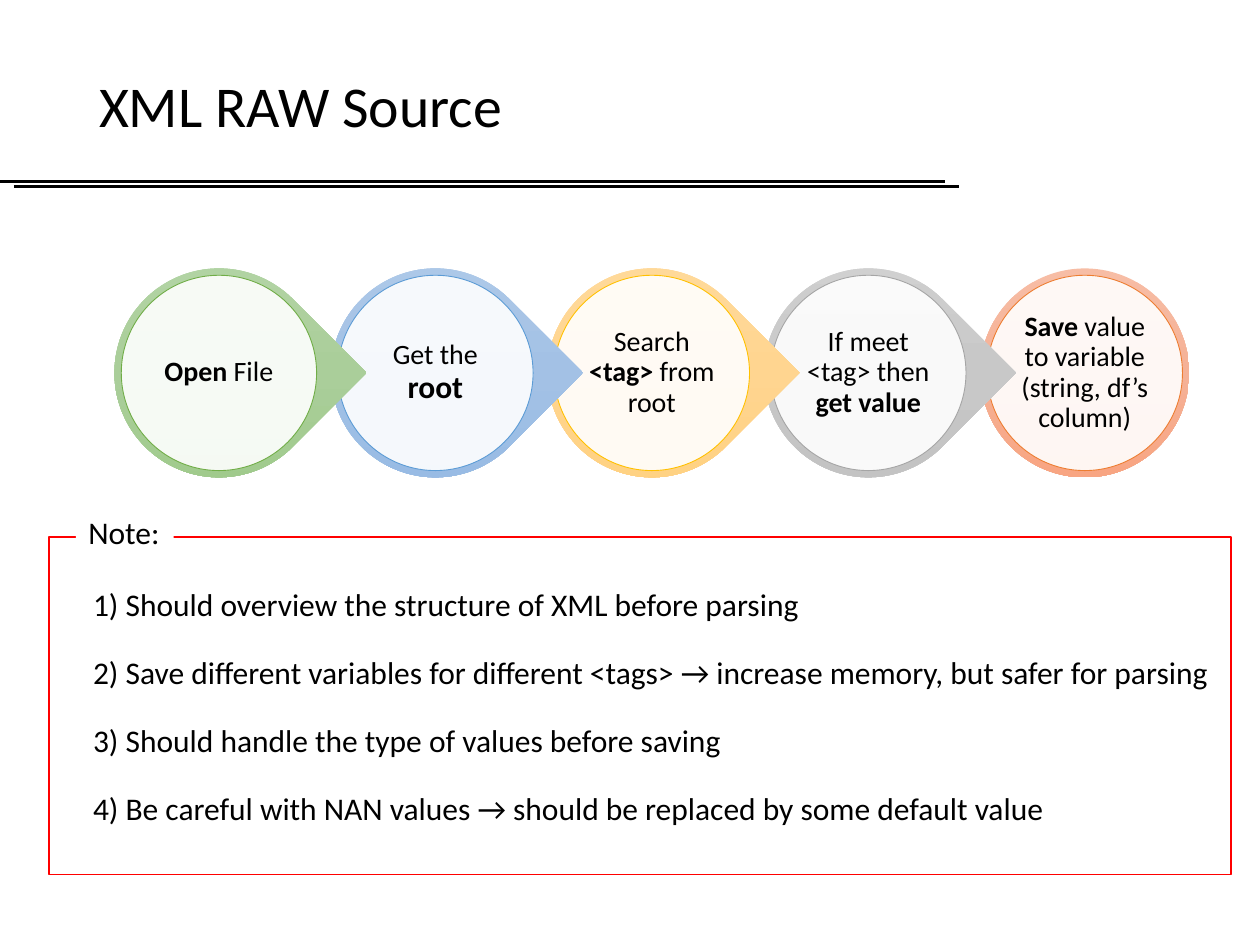
from dataclasses import dataclass

from lxml.etree import SubElement
from pptx import Presentation
from pptx.dml.color import RGBColor
from pptx.enum.shapes import MSO_CONNECTOR, MSO_SHAPE
from pptx.enum.text import MSO_ANCHOR, PP_ALIGN
from pptx.oxml import parse_xml
from pptx.oxml.ns import nsdecls, qn
from pptx.util import Pt


@dataclass(frozen=True)
class Theme:
    font: str = "Calibri"
    black: str = "000000"
    white: str = "FFFFFF"
    red: str = "FF0000"
    title: float = 33
    body: float = 18
    step: float = 16
    # Per step: outline, then gradient from top to bottom
    steps: tuple = (
        ("70AD47", ("B5D5A7", "AACE9A", "9CC987")),
        ("5B9BD5", ("B1CBE9", "A3C1E5", "93B9E4")),
        ("FFC000", ("FFDB9E", "FFD590", "FFD07C")),
        ("A5A5A5", ("D2D2D2", "C8C8C8", "C0C0C0")),
        ("ED7D31", ("F7BDA5", "F5B196", "F8A582")),
    )


class Deck:
    def __init__(self, s, theme):
        self.s, self.theme = s, theme

    def line(self, x1, y, x2, width):
        c = self.s.shapes.add_connector(
            MSO_CONNECTOR.STRAIGHT, Pt(x1), Pt(y), Pt(x2), Pt(y))
        c.line.color.rgb = RGBColor.from_string(self.theme.black)
        c.line.width = Pt(width)
        SubElement(c._element.spPr, qn("a:effectLst"))

    def shape(self, kind, x, y, w, h, fill=None, line=None, width=1, alpha=None):
        sp = self.s.shapes.add_shape(kind, Pt(x), Pt(y), Pt(w), Pt(h))
        sp.shadow.inherit = False
        if fill:
            sp.fill.solid()
            sp.fill.fore_color.rgb = RGBColor.from_string(fill)
        else:
            sp.fill.background()
        if alpha:
            color = sp._element.spPr.find(qn("a:solidFill"))[0]
            SubElement(color, qn("a:alpha"), val=str(alpha * 1000))
        if line:
            sp.line.color.rgb = RGBColor.from_string(line)
            sp.line.width = Pt(width)
        else:
            sp.line.fill.background()
        return sp

    def gradient(self, sp, colors):
        stops = "".join(
            f'<a:gs pos="{i * 50000}"><a:srgbClr val="{c}"/></a:gs>'
            for i, c in enumerate(colors))
        old = sp._element.spPr.find(qn("a:noFill"))
        old.getparent().replace(old, parse_xml(
            f'<a:gradFill {nsdecls("a")} rotWithShape="0"><a:gsLst>{stops}</a:gsLst>'
            '<a:lin ang="5400000" scaled="0"/></a:gradFill>'))

    def text(self, x, y, w, h, runs, size, align=PP_ALIGN.LEFT,
             anchor=MSO_ANCHOR.TOP, spacing=1.0, inset=None, fill=None):
        """Each run is (text, bold) or (text, bold, size)."""
        sp = self.s.shapes.add_textbox(Pt(x), Pt(y), Pt(w), Pt(h))
        if fill:
            sp.fill.solid()
            sp.fill.fore_color.rgb = RGBColor.from_string(fill)
        tf = sp.text_frame
        tf.word_wrap = True
        tf.vertical_anchor = anchor
        if inset is not None:
            tf.margin_left = tf.margin_right = Pt(inset)
            tf.margin_top = tf.margin_bottom = Pt(inset)
        p = tf.paragraphs[0]
        p.alignment, p.line_spacing = align, spacing
        p.font.name, p.font.size = self.theme.font, Pt(size)
        p.font.color.rgb = RGBColor.from_string(self.theme.black)
        for text, bold, *own_size in runs:
            r = p.add_run()
            r.text = text
            r.font.bold = bold
            if own_size:
                r.font.size = Pt(own_size[0])

    def step(self, cx, cy, runs, outline, colors, last):
        drop, disc, label = 119.4, 111.6, 80
        kind = MSO_SHAPE.OVAL if last else MSO_SHAPE.TEAR
        sp = self.shape(kind, cx - drop / 2, cy - drop / 2, drop, drop)
        self.gradient(sp, colors)
        if not last:
            sp.rotation = 45
        self.shape(MSO_SHAPE.OVAL, cx - disc / 2, cy - disc / 2, disc, disc,
                   self.theme.white, outline, 0.5, alpha=90)
        self.text(cx - label / 2, cy - label / 2, label, label, runs,
                  self.theme.step, PP_ALIGN.CENTER, MSO_ANCHOR.MIDDLE, 0.9, 1.4)


STEPS = [
    [("Open", True), (" File", False)],
    [("Get the ", False), ("root", True, Theme.body)],
    [("Search ", False), ("<tag> ", True), ("from root", False)],
    [("If meet <tag> then ", False), ("get value", True)],
    [("Save", True), (" value to variable (string, df’s column)", False)],
]
NOTES = [
    "1) Should overview the structure of XML before parsing",
    "2) Save different variables for different <tags> → increase memory, "
    "but safer for parsing",
    "3) Should handle the type of values before saving",
    "4) Be careful with NAN values → should be replaced by some default value",
]


def main():
    prs = Presentation()
    prs.slide_width, prs.slide_height = Pt(720), Pt(540)
    theme = Theme()
    deck = Deck(prs.slides.add_slide(prs.slide_layouts[6]), theme)

    # Title with double rule
    deck.line(8, 106.6, 548, 1.5)
    deck.line(0, 103.8, 540, 1.5)
    deck.text(49.5, 28.8, 620.6, 66.2, [("XML RAW Source", False)], theme.title,
              anchor=MSO_ANCHOR.MIDDLE, spacing=0.9)

    # Process steps, right to left so that each tip overlaps the next step
    last = len(STEPS) - 1
    for i in range(last, -1, -1):
        deck.step(125.1 + i * 123.7, 213.1, STEPS[i], *theme.steps[i], i == last)

    # Notes in a captioned frame
    for i, note in enumerate(NOTES):
        deck.text(46.1, 331 + i * 38.8, 657.4, 29, [(note, False)], theme.body)
    deck.shape(MSO_SHAPE.RECTANGLE, 28.1, 306.7, 675.4, 193, line=theme.red)
    deck.text(43.4, 289.7, 55.8, 29, [("Note:", False)], theme.body,
              fill=theme.white)

    prs.save("out.pptx")


if __name__ == "__main__":
    main()
